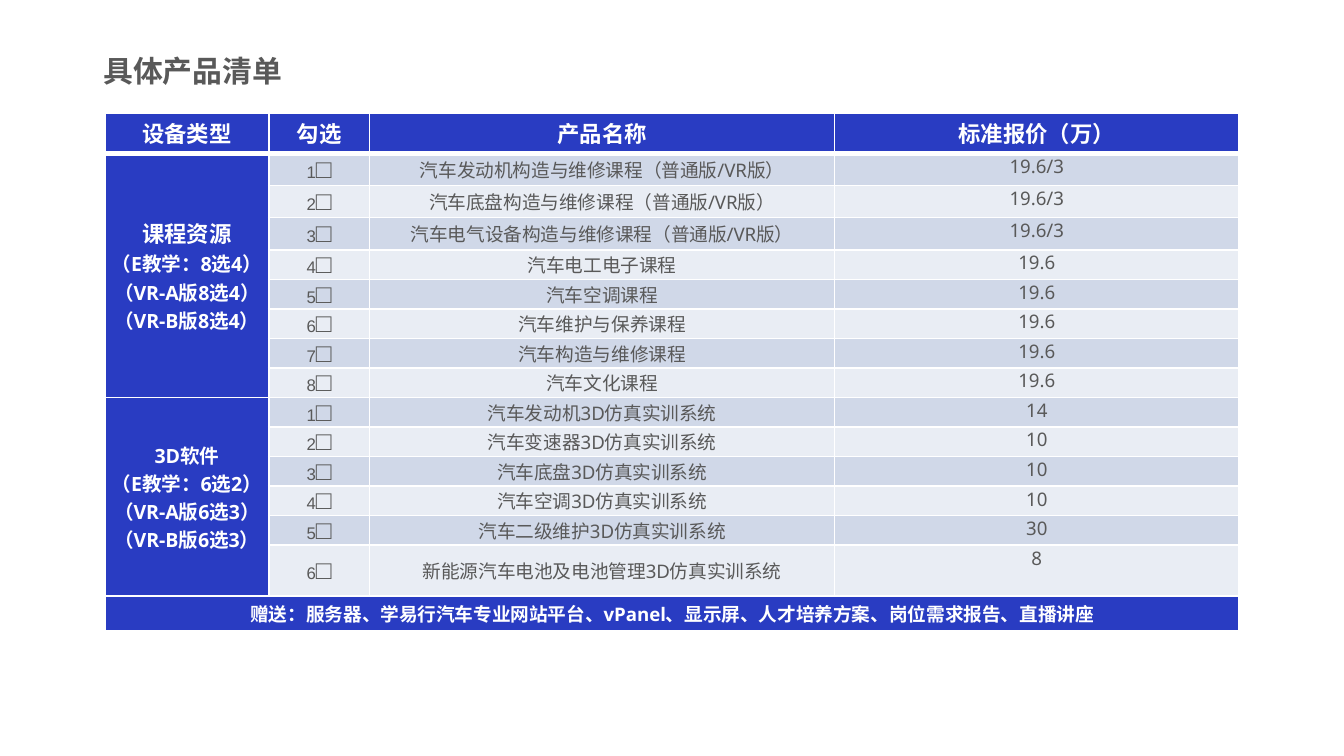
import pptx
import pptx.util
import pptx.dml.color
import pptx.enum.text
import pptx.oxml.ns
from lxml import etree

Inches = pptx.util.Inches
CENTER = pptx.enum.text.PP_ALIGN.CENTER
TOP = pptx.enum.text.MSO_ANCHOR.TOP
MIDDLE = pptx.enum.text.MSO_ANCHOR.MIDDLE
BLUE, GRAY, WHITE = "293CC2", "595959", "FFFFFF"
BANDS = ("D0D8E8", "E9EDF4")

COL_WIDTHS = [1.22, 0.75, 3.46, 3.01]
ROW_HEIGHTS = [0.3] + [0.24] * 3 + [0.22] * 10 + [0.38, 0.26]
HEADERS = ["设备类型", "勾选", "产品名称", "标准报价（万）"]
GROUPS = [
    ([("课程资源", 12), ("（E教学：8选4）", 10.5), ("（VR-A版8选4）", 10.5), ("（VR-B版8选4）", 10.5)],
     [("汽车发动机构造与维修课程（普通版/VR版）", "19.6/3"),
      ("汽车底盘构造与维修课程（普通版/VR版）", "19.6/3"),
      ("汽车电气设备构造与维修课程（普通版/VR版）", "19.6/3"),
      ("汽车电工电子课程", "19.6"),
      ("汽车空调课程", "19.6"),
      ("汽车维护与保养课程", "19.6"),
      ("汽车构造与维修课程", "19.6"),
      ("汽车文化课程", "19.6")]),
    ([("3D软件", 10.5), ("（E教学：6选2）", 10.5), ("（VR-A版6选3）", 10.5), ("（VR-B版6选3）", 10.5)],
     [("汽车发动机3D仿真实训系统", "14"),
      ("汽车变速器3D仿真实训系统", "10"),
      ("汽车底盘3D仿真实训系统", "10"),
      ("汽车空调3D仿真实训系统", "10"),
      ("汽车二级维护3D仿真实训系统", "30"),
      ("新能源汽车电池及电池管理3D仿真实训系统", "8")]),
]
GIFTS = [("赠送：服务器、", "Noto Sans"), ("学易行汽车专业网站平台", "Calibri"),
         ("、vPanel、显示屏、人才培养方案、岗位需求报告、直播讲座", "Noto Sans")]


def rgb(value):
    return pptx.dml.color.RGBColor.from_string(value)


def add_text(p, text, size=10, color=GRAY, bold=False, font="Noto Sans", align=None):
    p.alignment = align
    r = p.add_run()
    r.text = text
    r.font.size = pptx.util.Pt(size)
    r.font.bold = bold
    r.font.color.rgb = rgb(color)
    r.font.name = font


def set_borders(cell, bottom):
    tc_pr = cell._tc.get_or_add_tcPr()
    widths = {"L": 1, "R": 1, "T": 1, "B": bottom}
    for i, (side, width) in enumerate(widths.items()):
        ln = etree.Element(pptx.oxml.ns.qn("a:ln" + side), w=str(pptx.util.Pt(width)))
        fill = etree.SubElement(ln, pptx.oxml.ns.qn("a:solidFill"))
        etree.SubElement(fill, pptx.oxml.ns.qn("a:srgbClr"), val=WHITE)
        tc_pr.insert(i, ln)


def style_cell(cell, fill, anchor=MIDDLE, bottom=1):
    cell.margin_left = cell.margin_right = Inches(0.02)
    cell.margin_top = cell.margin_bottom = 0
    cell.vertical_anchor = anchor
    cell.fill.solid()
    cell.fill.fore_color.rgb = rgb(fill)
    set_borders(cell, bottom)
    return cell.text_frame.paragraphs[0]


def add_group(table, start, labels, products):
    end = start + len(products) - 1
    group = table.cell(start, 0)
    group.merge(table.cell(end, 0))
    for row, (name, price) in enumerate(products, start):
        fill = BANDS[(row - 1) % 2]
        style_cell(table.cell(row, 0), BLUE)
        p = style_cell(table.cell(row, 1), fill)
        add_text(p, str(row - start + 1), size=9, font="Arial", align=CENTER)
        add_text(p, "□", size=14, font="Arial", align=CENTER)
        add_text(style_cell(table.cell(row, 2), fill), name, align=CENTER)
        add_text(style_cell(table.cell(row, 3), fill, TOP), price, align=CENTER)
    tf = group.text_frame
    for i, (label, size) in enumerate(labels):
        p = tf.add_paragraph() if i else tf.paragraphs[0]
        add_text(p, label, size=size, color=WHITE, bold=True, align=CENTER)
    return end + 1


def add_product_table(s, x, y, w, h):
    table = s.shapes.add_table(len(ROW_HEIGHTS), len(COL_WIDTHS),
                               Inches(x), Inches(y), Inches(w), Inches(h)).table
    for col, width in zip(table.columns, COL_WIDTHS):
        col.width = Inches(width)
    for row, height in zip(table.rows, ROW_HEIGHTS):
        row.height = Inches(height)
    for cell, text in zip(table.rows[0].cells, HEADERS):
        add_text(style_cell(cell, BLUE, bottom=3), text, size=12, color=WHITE, bold=True, align=CENTER)
    row = 1
    for labels, products in GROUPS:
        row = add_group(table, row, labels, products)
    table.cell(row, 0).merge(table.cell(row, len(COL_WIDTHS) - 1))
    for cell in table.rows[row].cells:
        style_cell(cell, BLUE)
    p = table.cell(row, 0).text_frame.paragraphs[0]
    for text, font in GIFTS:
        add_text(p, text, color=WHITE, bold=True, font=font, align=CENTER)


def add_title(s, x, y, w, h):
    sp = s.shapes.add_textbox(Inches(x), Inches(y), Inches(w), Inches(h))
    tf = sp.text_frame
    tf.word_wrap = True
    add_text(tf.paragraphs[0], "具体产品清单", size=16, bold=True)


def main():
    prs = pptx.Presentation()
    prs.slide_width = Inches(10)
    prs.slide_height = prs.slide_width * 9 // 16
    s = prs.slides.add_slide(prs.slide_layouts[6])
    add_product_table(s, 0.78, 0.84, sum(COL_WIDTHS), sum(ROW_HEIGHTS))
    add_title(s, 0.67, 0.34, 2.09, 0.37)
    prs.save("out.pptx")


if __name__ == "__main__":
    main()
